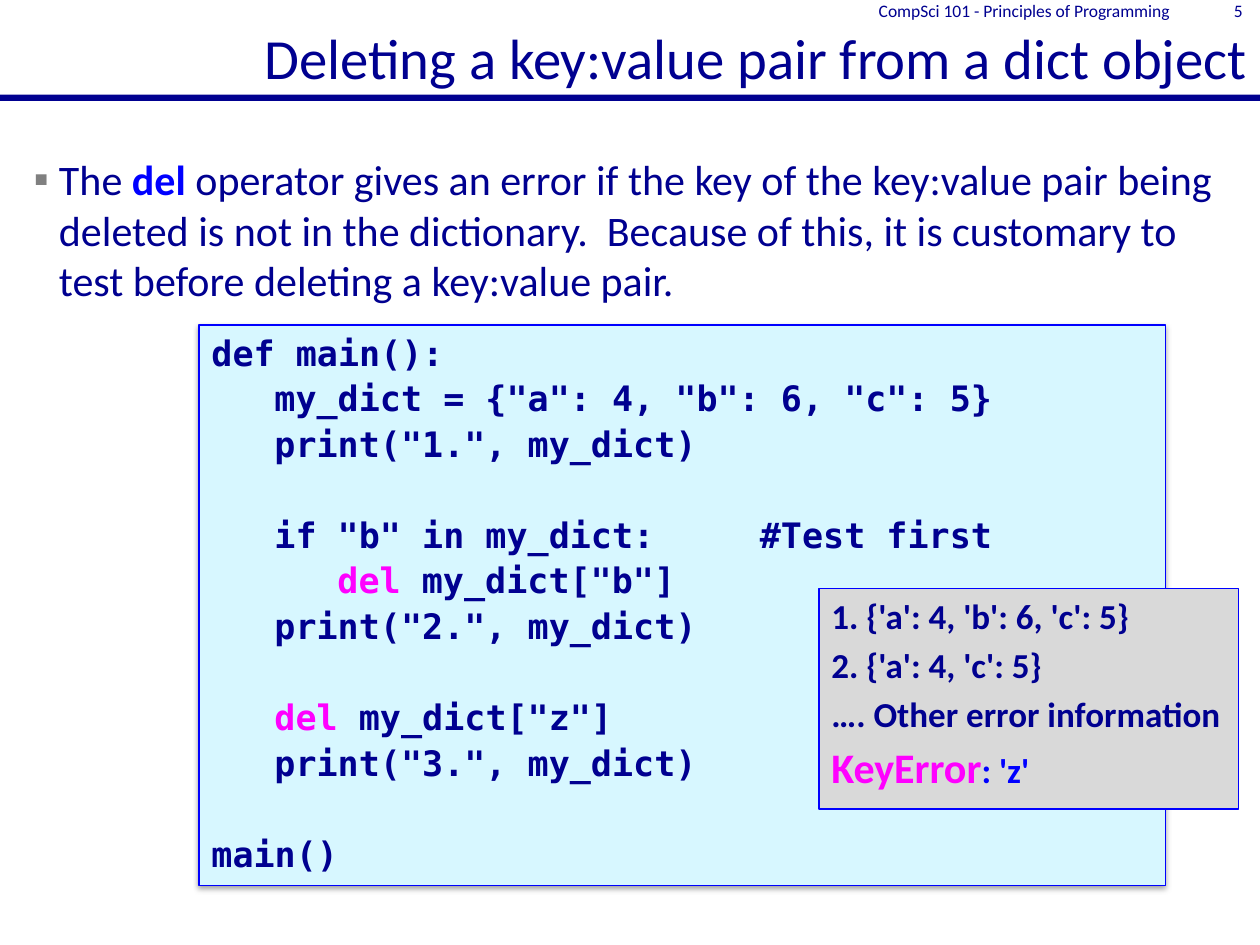
import pptx
import pptx.util
import pptx.dml.color
import pptx.enum.shapes
import pptx.enum.text
import pptx.oxml
import pptx.oxml.ns

Inches, Pt = pptx.util.Inches, pptx.util.Pt
RGB = pptx.dml.color.RGBColor.from_string
ALIGN, ANCHOR = pptx.enum.text.PP_ALIGN, pptx.enum.text.MSO_ANCHOR
RECT = pptx.enum.shapes.MSO_SHAPE.RECTANGLE

THEME = {
    "navy": "000090", "blue": "0000FF", "magenta": "FF00FF", "bullet": "808080",
    "code_fill": "D7F7FF", "output_fill": "D9D9D9",
    "sans": "Calibri", "mono": "DejaVu Sans Mono",
    "title": 32.4, "body": 24, "code": 20, "output": 20, "error": 24, "header": 10,
}
NS = 'xmlns:a="http://schemas.openxmlformats.org/drawingml/2006/main"'


def add_runs(p, runs, **base):
    """Add (text, overrides) runs that share the base format."""
    for text, changes in runs:
        r = p.add_run()
        r.text = text
        for name, value in {**base, **changes}.items():
            if name == "color":
                r.font.color.rgb = RGB(THEME[value])
            else:
                setattr(r.font, name, value)


def add_panel(s, box, fill, line=None):
    """Add a filled rectangle with left-aligned text from the top."""
    sp = s.shapes.add_shape(RECT, *map(Inches, box))
    sp.shadow.inherit = False
    sp.fill.solid()
    sp.fill.fore_color.rgb = RGB(THEME[fill])
    if line:
        sp.line.color.rgb = RGB(THEME[line])
        sp.line.width = Pt(0.75)
    else:
        sp.line.fill.background()
    sp.text_frame.vertical_anchor = ANCHOR.TOP
    return sp


prs = pptx.Presentation()
prs.slide_width, prs.slide_height = Inches(10), Inches(7.5)
s = prs.slides.add_slide(prs.slide_layouts[5])

# Title and rule
add_panel(s, (0, 0.75, 10, 0.05), "navy")
sp = s.shapes.title
for name, value in {"left": 0, "top": 0, "width": 10, "height": 0.75}.items():
    setattr(sp, name, Inches(value))
tf = sp.text_frame
for name, value in {"vertical_anchor": ANCHOR.BOTTOM, "margin_top": 0,
                    "margin_bottom": Inches(0.03), "word_wrap": True,
                    "auto_size": pptx.enum.text.MSO_AUTO_SIZE.NONE}.items():
    setattr(tf, name, value)
p = tf.paragraphs[0]
p.alignment = ALIGN.RIGHT
add_runs(p, [("Deleting a key:value pair from a dict object", {})],
         name=THEME["sans"], size=Pt(THEME["title"]), color="navy")

# Bulleted statement
tf = s.shapes.add_textbox(*map(Inches, (0.17, 1.17, 9.83, 1.35))).text_frame
tf.word_wrap = True
p = tf.paragraphs[0]
add_runs(p, [
    ("The ", {}),
    ("del ", {"color": "blue", "bold": True}),
    ("operator gives an error if the key of the key:value pair being deleted is not in "
     "the dictionary.  Because of this, it is customary to test before deleting a "
     "key:value pair.", {}),
], name=THEME["sans"], size=Pt(THEME["body"]), color="navy")
pPr = p._p.get_or_add_pPr()
pPr.set("marL", str(Inches(0.2)))
pPr.set("indent", str(Inches(-0.2)))
for xml in (f'<a:buClr {NS}><a:srgbClr val="{THEME["bullet"]}"/></a:buClr>',
            f'<a:buFont {NS} typeface="{THEME["sans"]}"/>',
            f'<a:buChar {NS} char="▪"/>'):
    pPr.append(pptx.oxml.parse_xml(xml))

# Code panel with a soft shadow
sp = add_panel(s, (1.58, 2.58, 7.67, 4.45), "code_fill", "blue")
effects = sp._element.spPr.find(pptx.oxml.ns.qn("a:effectLst"))
effects.append(pptx.oxml.parse_xml(
    f'<a:outerShdw {NS} blurRad="{Pt(3.1)}" dist="{Pt(1.6)}" dir="5400000" rotWithShape="0">'
    '<a:srgbClr val="000000"><a:alpha val="38000"/></a:srgbClr></a:outerShdw>'))
DEL = ("del ", {"color": "magenta"})
LINE_GAP, BLOCK_GAP = 2, 28
code = [
    (LINE_GAP, [("def main():", {})]),
    (LINE_GAP, [('\tmy_dict = {"a": 4, "b": 6, "c": 5}', {})]),
    (LINE_GAP, [('\tprint("1.", my_dict)', {})]),
    (BLOCK_GAP, [('\tif "b" in my_dict:     #Test first', {})]),
    (LINE_GAP, [("\t\t", {}), DEL, ('my_dict["b"]', {})]),
    (LINE_GAP, [('\tprint("2.", my_dict)', {})]),
    (BLOCK_GAP, [("\t", {}), DEL, ('my_dict["z"]', {})]),
    (LINE_GAP, [('\tprint("3.", my_dict)', {})]),
    (BLOCK_GAP, [("main()", {})]),
]
tf = sp.text_frame
for i, (gap, runs) in enumerate(code):
    p = tf.add_paragraph() if i else tf.paragraphs[0]
    p.alignment, p.space_before = ALIGN.LEFT, Pt(gap)
    add_runs(p, runs, name=THEME["mono"], size=Pt(THEME["code"]), bold=True, color="navy")

# Program output
tf = add_panel(s, (6.5, 4.67, 3.33, 1.75), "output_fill", "blue").text_frame
output = [
    [("1. {'a': 4, 'b': 6, 'c': 5}", {})],
    [("2. {'a': 4, 'c': 5}", {})],
    [("…. Other error information", {})],
    [("KeyError", {"size": Pt(THEME["error"]), "color": "magenta"}),
     (": 'z'", {"color": "blue"})],
]
for i, runs in enumerate(output):
    p = tf.add_paragraph() if i else tf.paragraphs[0]
    p.alignment, p.space_before = ALIGN.LEFT, Pt(4)
    add_runs(p, runs, name=THEME["sans"], size=Pt(THEME["output"]), bold=True, color="navy")

# Course name and slide number
for left, width, text in ((6.38, 3, "CompSci 101 - Principles of Programming"),
                          (9.38, 0.58, "5")):
    tf = s.shapes.add_textbox(*map(Inches, (left, 0, width, 0.17))).text_frame
    for name, value in {"word_wrap": True, "vertical_anchor": ANCHOR.MIDDLE,
                        "margin_top": 0, "margin_bottom": 0}.items():
        setattr(tf, name, value)
    p = tf.paragraphs[0]
    p.alignment = ALIGN.RIGHT
    add_runs(p, [(text, {})], name=THEME["sans"], size=Pt(THEME["header"]), color="navy")

prs.save("out.pptx")
